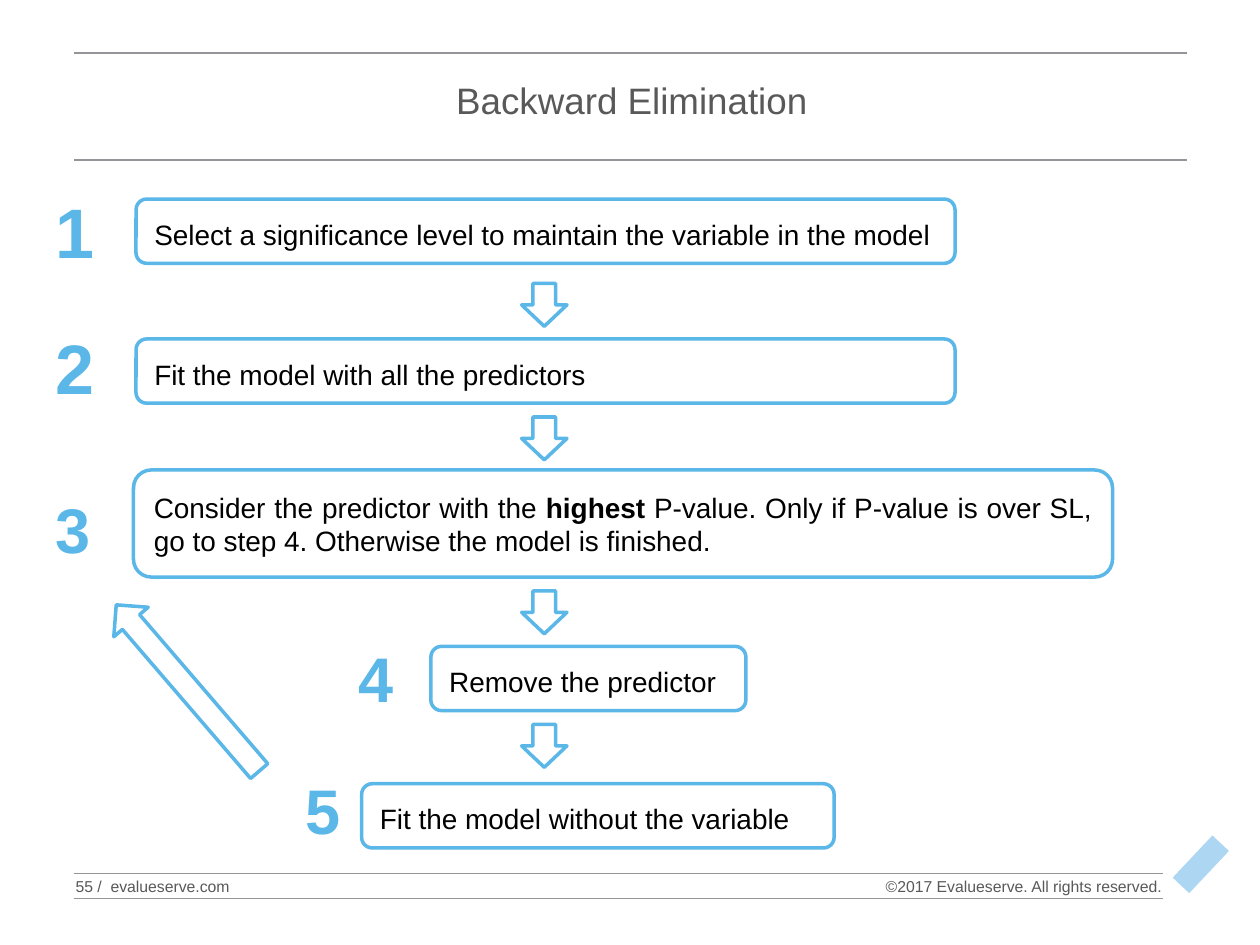
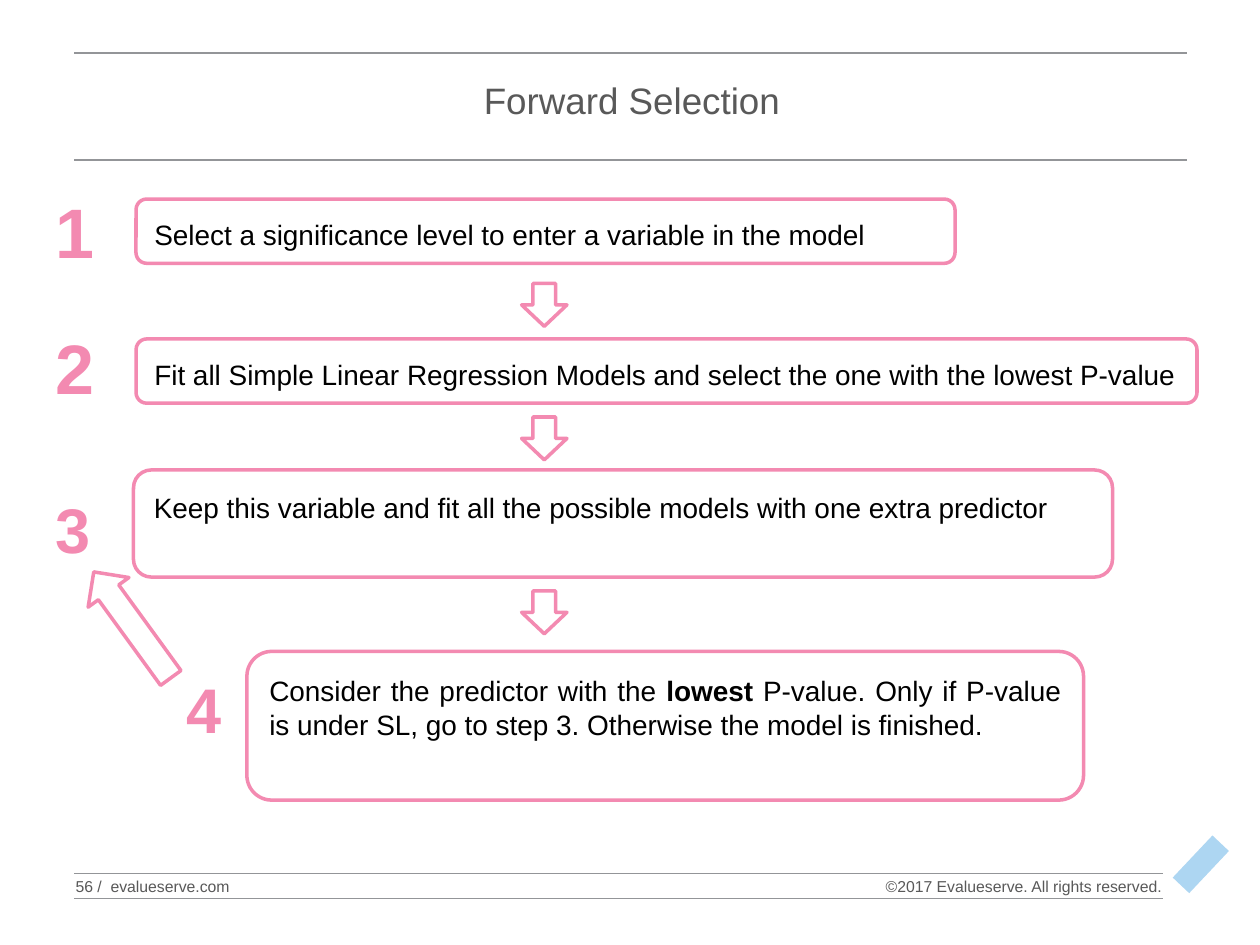
from pptx import Presentation
from pptx import util as u
from pptx.dml.color import RGBColor
from pptx.enum import shapes, text
from pptx.oxml.ns import qn
from lxml import etree

BLUE = RGBColor(0x5A, 0xB7, 0xE8)
PINK = RGBColor(0xF3, 0x8A, 0xB1)
PALE = RGBColor(0xAD, 0xD6, 0xF2)
GREY = RGBColor(0x59, 0x59, 0x59)
RULE = RGBColor(0x93, 0x95, 0x98)
BLACK = RGBColor(0, 0, 0)
WHITE = RGBColor(255, 255, 255)
FONT = "Arial"
KIND = shapes.MSO_SHAPE
SIDE = text.PP_ALIGN
ANCHOR = text.MSO_ANCHOR


class Deck:
    def __init__(self):
        self.prs = Presentation()
        self.prs.slide_width = u.Inches(10)
        self.prs.slide_height = u.Inches(7.5)

    def start(self, title, page, hue):
        self.hue = hue
        self.slide = self.prs.slides.add_slide(self.prs.slide_layouts[5])
        self.items = self.slide.shapes
        for y, right in ((0.42, 9.42), (1.27, 9.42), (6.93, 9.23), (7.13, 9.23)):
            self.rule(y, right)
        self.badge()
        self.title(title)
        self.note(0.6, 6.93, 1.47, 0.2, f"{page} /  evalueserve.com", SIDE.LEFT)
        self.note(6.05, 6.94, 3.17, 0.18,
                  "©2017 Evalueserve. All rights reserved.", SIDE.RIGHT)

    def place(self, *box):
        return [u.Inches(n) for n in box]

    def style(self, par, size, color, align, bold=None):
        par.alignment = align
        par.font.name = FONT
        par.font.size = u.Pt(size)
        par.font.color.rgb = color
        par.font.bold = bold

    def inset(self, frame, x, y):
        frame.margin_left = frame.margin_right = u.Inches(x)
        frame.margin_top = frame.margin_bottom = u.Inches(y)

    def rule(self, y, right):
        line = self.items.add_connector(shapes.MSO_CONNECTOR.STRAIGHT,
                                        *self.place(0.59, y, right, y))
        line.line.color.rgb = RULE
        line.line.width = u.Pt(0.75)
        etree.SubElement(line._element.spPr, qn("a:effectLst"))

    def badge(self):
        bar = self.items.add_shape(KIND.RECTANGLE, *self.place(9.44, 6.63, 0.18, 0.46))
        bar.rotation = 43.3
        bar.shadow.inherit = False
        bar.fill.solid()
        bar.fill.fore_color.rgb = PALE
        bar.line.fill.background()

    def title(self, words):
        head = self.items.title
        head.left, head.top, head.width, head.height = self.place(0.6, 0.58, 8.83, 0.78)
        frame = head.text_frame
        frame.text = words
        frame.auto_size = text.MSO_AUTO_SIZE.NONE
        frame.vertical_anchor = ANCHOR.TOP
        self.inset(frame, 0, 0.04)
        self.style(frame.paragraphs[0], 21, GREY, SIDE.CENTER)

    def note(self, x, y, w, h, words, align):
        frame = self.items.add_textbox(*self.place(x, y, w, h)).text_frame
        frame.word_wrap = True
        frame.vertical_anchor = ANCHOR.MIDDLE
        self.inset(frame, 0, 0)
        frame.text = words
        self.style(frame.paragraphs[0], 9, GREY, align)

    def shape(self, kind, box):
        item = self.items.add_shape(kind, *self.place(*box))
        item.shadow.inherit = False
        item.fill.solid()
        item.fill.fore_color.rgb = WHITE
        item.line.color.rgb = self.hue
        item.line.width = u.Pt(2)
        return item

    def step(self, box, words, strong="", rest=""):
        frame = self.shape(KIND.ROUNDED_RECTANGLE, box).text_frame
        frame.word_wrap = True
        frame.vertical_anchor = ANCHOR.TOP
        self.inset(frame, 0.12, 0.12)
        par = frame.paragraphs[0]
        self.style(par, 16, BLACK, SIDE.JUSTIFY)
        par.add_run().text = words
        if strong:
            run = par.add_run()
            run.text = strong
            run.font.bold = True
            par.add_run().text = rest

    def digit(self, num, x, y, w=0.25, size=36, wrap=True):
        high = 0.77 if size == 40 else 0.71
        frame = self.items.add_textbox(*self.place(x, y, w, high)).text_frame
        frame.word_wrap = wrap
        frame.auto_size = text.MSO_AUTO_SIZE.SHAPE_TO_FIT_TEXT
        frame.text = str(num)
        self.style(frame.paragraphs[0], size, self.hue, SIDE.CENTER, True)

    def drops(self, *tops):
        for y in tops:
            self.shape(KIND.DOWN_ARROW, (4.14, y, 0.36, 0.34))

    def back(self, box, angle):
        self.shape(KIND.UP_ARROW, box).rotation = angle

    def opening(self, first, second, third, wide=6.5):
        self.step((1.08, 1.58, 6.5, 0.51), first)
        self.step((1.08, 2.69, wide, 0.51), second)
        self.step((1.06, 3.73, 7.77, 0.85), *third)
        self.digit(1, 0.34, 1.45, 0.51, 40, False)
        self.digit(2, 0.34, 2.53, 0.51, 40, False)
        self.digit(3, 0.34, 3.84, 0.48, 36, False)
        self.drops(2.25, 3.31, 4.69)


def backward(deck):
    deck.start("Backward Elimination", 55, BLUE)
    deck.opening(
        "Select a significance level to maintain the variable in the model",
        "Fit the model with all the predictors",
        ("Consider the predictor with the ", "highest",
         " P-value. Only if P-value is over SL, go to step 4. "
         "Otherwise the model is finished."))
    deck.digit(4, 2.75, 5.03)
    deck.step((3.42, 5.13, 2.5, 0.51), "Remove the predictor")
    deck.drops(5.75)
    deck.step((2.87, 6.22, 3.75, 0.51), "Fit the model without the variable")
    deck.digit(5, 2.33, 6.07)
    deck.back((1.31, 4.59, 0.36, 1.74), 319.3)


def forward(deck):
    deck.start("Forward Selection", 56, PINK)
    deck.opening(
        "Select a significance level to enter a variable in the model",
        "Fit all Simple Linear Regression Models and select the one "
        "with the lowest P-value",
        ("Keep this variable and fit all the possible models "
         "with one extra predictor",),
        8.42)
    deck.digit(4, 1.38, 5.27)
    deck.step((1.96, 5.17, 6.64, 1.18),
              "Consider the predictor with the ", "lowest",
              " P-value. Only if P-value is under SL, go to step 3. "
              "Otherwise the model is finished.")
    deck.back((0.85, 4.44, 0.4, 1.04), 324)


def main():
    deck = Deck()
    backward(deck)
    forward(deck)
    deck.prs.save("out.pptx")


if __name__ == "__main__":
    main()
